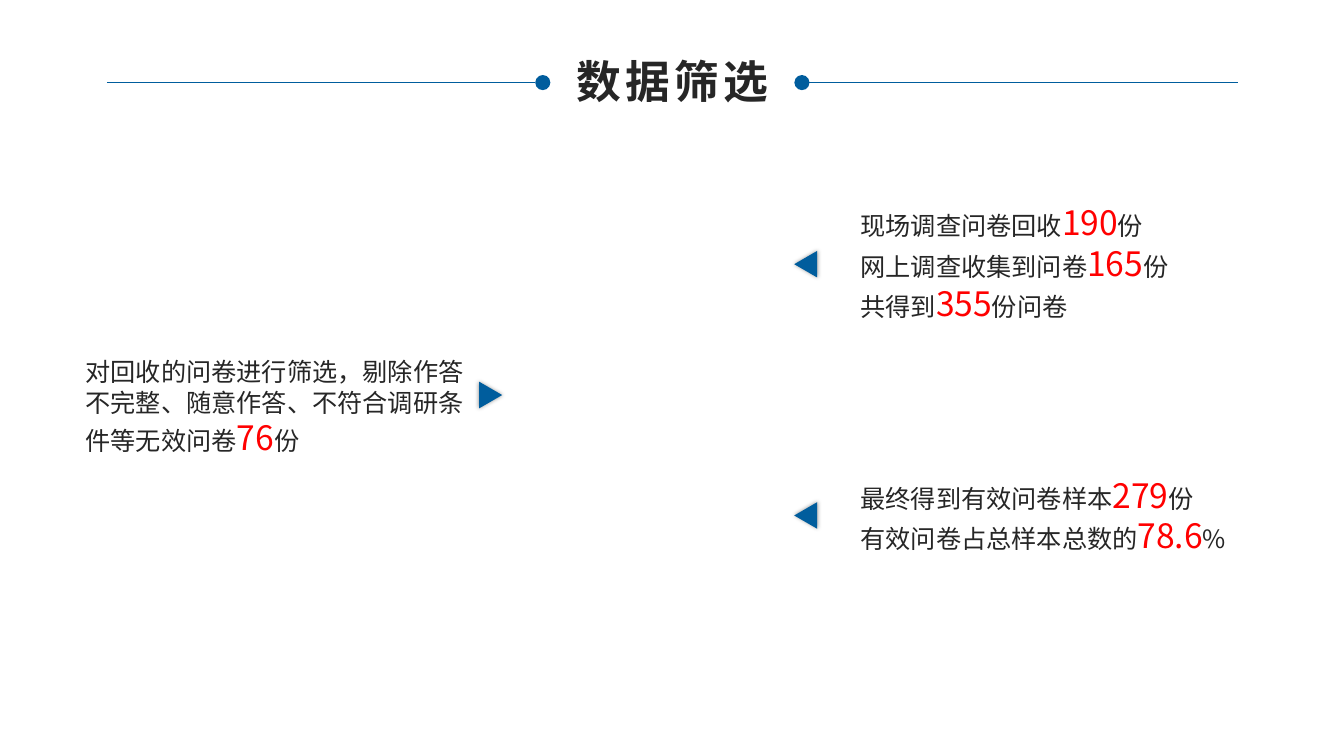
from dataclasses import dataclass

from lxml import etree
from pptx import Presentation
from pptx import util as u
from pptx.dml.color import RGBColor
from pptx.enum import shapes, text
from pptx.oxml import ns


@dataclass(frozen=True)
class Theme:
    blue: RGBColor = RGBColor(0x00, 0x5D, 0x9D)
    ink: RGBColor = RGBColor(0x26, 0x26, 0x26)
    red: RGBColor = RGBColor(0xFF, 0x00, 0x00)
    title_font: str = "Arial"
    body_font: str = "Noto Sans CJK SC"
    title_size: float = 32
    body_size: float = 18
    figure_size: float = 24


@dataclass(frozen=True)
class Rule:
    outer_x: float
    inner_x: float
    dot_left: float


@dataclass(frozen=True)
class Pointer:
    left: float
    top: float
    rotation: float


@dataclass(frozen=True)
class Note:
    left: float
    top: float
    width: float
    height: float
    lines: tuple[tuple[str, str, str], ...]  # words, figure, unit


THEME = Theme()
RULE_Y, DOT = 59, 10.8
POINTER_WIDTH, POINTER_HEIGHT = 19, 16.4
RIGHT_LEFT, RIGHT_WIDTH = 607.5, 300

RULES = (Rule(76.3, 382.3, 382.3), Rule(884.2, 578.2, 567.4))
POINTERS = (Pointer(566, 180.5, 270), Pointer(566, 360, 270), Pointer(341, 274, 90))
NOTES = (
    Note(RIGHT_LEFT, 141, RIGHT_WIDTH, 94.5, (
        ("现场调查问卷回收", "190", "份"),
        ("网上调查收集到问卷", "165", "份"),
        ("共得到", "355", "份问卷"),
    )),
    Note(RIGHT_LEFT, 335.5, RIGHT_WIDTH, 65.5, (
        ("最终得到有效问卷样本", "279", "份"),
        ("有效问卷占总样本总数的", "78.6", "%"),
    )),
    Note(54, 251.3, 289.5, 80, (
        ("对回收的问卷进行筛选，剔除作答不完整、随意作答、不符合调研条件等无效问卷", "76", "份"),
    )),
)


def style_span(span, font: str, size: float, color: RGBColor) -> None:
    span.font.size = u.Pt(size)
    span.font.color.rgb = color
    span.font.name = font
    east_asian = etree.SubElement(span.font._element, ns.qn("a:ea"))
    east_asian.set("typeface", THEME.body_font)


def add_blue_shape(page, kind, left: float, top: float, width: float, height: float):
    shape = page.shapes.add_shape(kind, u.Pt(left), u.Pt(top), u.Pt(width), u.Pt(height))
    shape.shadow.inherit = False
    shape.fill.solid()
    shape.fill.fore_color.rgb = THEME.blue
    shape.line.fill.background()
    return shape


def add_rule(page, rule: Rule) -> None:
    line = page.shapes.add_connector(
        shapes.MSO_CONNECTOR.STRAIGHT,
        u.Pt(rule.outer_x), u.Pt(RULE_Y), u.Pt(rule.inner_x), u.Pt(RULE_Y))
    line.line.color.rgb = THEME.blue
    line.line.width = u.Pt(0.25)
    etree.SubElement(line._element.spPr, ns.qn("a:effectLst"))
    add_blue_shape(page, shapes.MSO_SHAPE.OVAL, rule.dot_left, RULE_Y - DOT / 2, DOT, DOT)


def add_title(page, words: str) -> None:
    box = page.shapes.add_textbox(u.Pt(402.5), u.Pt(34.6), u.Pt(156), u.Pt(46))
    box.text_frame.word_wrap = False
    box.text_frame.text = words
    para = box.text_frame.paragraphs[0]
    para.alignment = text.PP_ALIGN.CENTER
    span = para.runs[0]
    style_span(span, THEME.title_font, THEME.title_size, THEME.ink)
    span.font.bold = True
    span.font._element.set("spc", "300")


def add_pointer(page, pointer: Pointer) -> None:
    shape = add_blue_shape(page, shapes.MSO_SHAPE.ISOSCELES_TRIANGLE,
                           pointer.left, pointer.top, POINTER_WIDTH, POINTER_HEIGHT)
    shape.rotation = pointer.rotation
    # Soft dark glow around the triangle
    effects = shape._element.spPr.find(ns.qn("a:effectLst"))
    shadow = etree.SubElement(effects, ns.qn("a:outerShdw"), blurRad=str(u.Pt(3)),
                              dist="0", dir="0", algn="ctr", rotWithShape="0")
    color = etree.SubElement(shadow, ns.qn("a:srgbClr"), val="000000")
    etree.SubElement(color, ns.qn("a:alpha"), val="40000")


def add_note(page, note: Note) -> None:
    box = page.shapes.add_textbox(u.Pt(note.left), u.Pt(note.top),
                                  u.Pt(note.width), u.Pt(note.height))
    frame = box.text_frame
    frame.word_wrap = True
    for index, (words, figure, unit) in enumerate(note.lines):
        para = frame.paragraphs[0] if index == 0 else frame.add_paragraph()
        for part in (words, figure, unit):
            span = para.add_run()
            span.text = part
            size, color = ((THEME.figure_size, THEME.red) if part == figure
                           else (THEME.body_size, THEME.ink))
            style_span(span, THEME.body_font, size, color)


def main() -> None:
    deck = Presentation()
    deck.slide_width, deck.slide_height = u.Pt(960), u.Pt(540)
    page = deck.slides.add_slide(deck.slide_layouts[6])

    # Heading between two dotted rules
    for rule in RULES:
        add_rule(page, rule)
    add_title(page, "数据筛选")

    # Triangles pointing to the centre
    for pointer in POINTERS:
        add_pointer(page, pointer)

    # Screening results
    for note in NOTES:
        add_note(page, note)

    deck.save("out.pptx")


if __name__ == "__main__":
    main()
